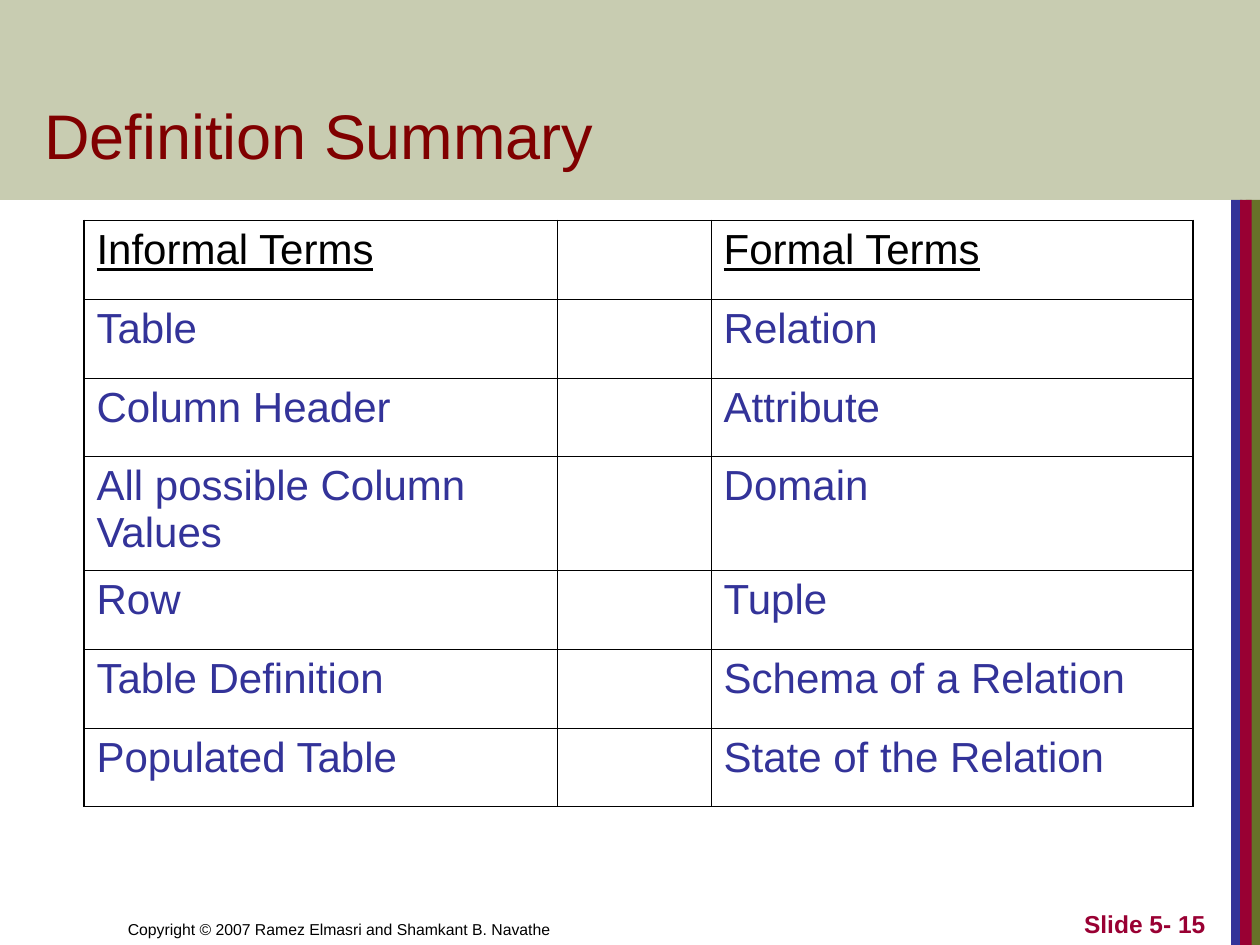
from dataclasses import dataclass, field

from lxml.etree import SubElement
from pptx import Presentation
from pptx.dml.color import RGBColor
from pptx.enum.shapes import MSO_SHAPE as Shape
from pptx.enum.text import MSO_ANCHOR as Anchor, PP_ALIGN as Align
from pptx.oxml.ns import qn
from pptx.util import Pt

COLORS = {
    "olive": "677228",
    "blue": "333399",
    "crimson": "990033",
    "maroon": "800000",
    "black": "000000",
}
TERMS = [
    ("Informal Terms", "Formal Terms"),
    ("Table", "Relation"),
    ("Column Header", "Attribute"),
    ("All possible Column Values", "Domain"),
    ("Row", "Tuple"),
    ("Table Definition", "Schema of a Relation"),
    ("Populated Table", "State of the Relation"),
]
COLUMN_WIDTHS = (270.5, 87.9, 275.4)
ROW_HEIGHTS = (45, 45, 45, 65, 45, 45, 45)
OUTER_LINE, INNER_LINE = 1.08, 0.45


@dataclass
class SlideBuilder:
    """Hold the text style and the current slide, and add elements to it."""

    slide: object
    style: dict = field(default_factory=lambda: {"name": "Arial"})

    def place(self, shape, bounds):
        for name, value in zip(("left", "top", "width", "height"), bounds):
            setattr(shape, name, Pt(value))

    def fill_text(self, frame, text, color, size, align=Align.LEFT, **formats):
        frame.word_wrap = True
        para = frame.paragraphs[0]
        para.alignment = align
        span = para.add_run()
        span.text = text
        for name, value in {**self.style, "size": Pt(size), **formats}.items():
            setattr(span.font, name, value)
        span.font.color.rgb = RGBColor.from_string(COLORS[color])

    def bar(self, bounds, color, alpha=None):
        bar = self.slide.shapes.add_shape(Shape.RECTANGLE, *map(Pt, bounds))
        bar.shadow.inherit = False
        bar.fill.solid()
        bar.fill.fore_color.rgb = RGBColor.from_string(COLORS[color])
        bar.line.fill.background()
        if alpha:
            tint = bar._element.spPr.find(".//" + qn("a:srgbClr"))
            SubElement(tint, qn("a:alpha"), val=str(alpha * 1000))

    def title(self, text, bounds):
        title = self.slide.shapes.title
        self.slide.shapes._spTree.append(title._element)
        self.place(title, bounds)
        title.text_frame.vertical_anchor = Anchor.BOTTOM
        self.fill_text(title.text_frame, text, "maroon", 36)

    def text(self, text, bounds, color, size, **formats):
        box = self.slide.shapes.add_textbox(*map(Pt, bounds))
        box.text_frame.vertical_anchor = Anchor.BOTTOM
        self.fill_text(box.text_frame, text, color, size, **formats)

    def border(self, cell, outer_sides):
        properties = cell._tc.get_or_add_tcPr()
        for side in "LRTB":
            width = OUTER_LINE if side in outer_sides else INNER_LINE
            line = SubElement(properties, qn(f"a:ln{side}"), w=str(Pt(width)))
            fill = SubElement(line, qn("a:solidFill"))
            SubElement(fill, qn("a:srgbClr"), val=COLORS["black"])

    def term_table(self, left, top):
        last_row, last_column = len(TERMS) - 1, len(COLUMN_WIDTHS) - 1
        bounds = (left, top, sum(COLUMN_WIDTHS), sum(ROW_HEIGHTS))
        table = self.slide.shapes.add_table(
            last_row + 1, last_column + 1, *map(Pt, bounds)
        ).table
        table.first_row = table.horz_banding = False
        for column, width in zip(table.columns, COLUMN_WIDTHS):
            column.width = Pt(width)
        for row, height in zip(table.rows, ROW_HEIGHTS):
            row.height = Pt(height)
        for row, (informal, formal) in enumerate(TERMS):
            header = row == 0
            color = "black" if header else "blue"
            for column, text in enumerate((informal, "", formal)):
                cell = table.cell(row, column)
                edges = {
                    "L": column == 0,
                    "R": column == last_column,
                    "T": header,
                    "B": row == last_row,
                }
                self.border(cell, [side for side, outer in edges.items() if outer])
                cell.fill.background()
                if text:
                    self.fill_text(cell.text_frame, text, color, 24, underline=header)


def main():
    deck = Presentation()
    deck.slide_width, deck.slide_height = Pt(720), Pt(540)
    page = SlideBuilder(deck.slides.add_slide(deck.slide_layouts[5]))
    band = 114.3
    stripes = [(712, 8, "olive"), (703.5, 6.5, "blue"), (708.7, 6.5, "crimson")]
    for left, width, color in stripes:
        page.bar((left, band, width, 540 - band), color)
    page.bar((0, 0, 720, band), "olive", alpha=36)
    page.text("Copyright © 2007 Ramez Elmasri and Shamkant B. Navathe",
              (66, 504, 354, 36), "black", 9)
    page.text("Slide 5- 15", (546, 504, 150, 36), "crimson", 14,
              align=Align.RIGHT, bold=True)
    page.title("Definition Summary", (18, 24, 614, 78))
    page.term_table(48, 126)
    deck.save("out.pptx")


if __name__ == "__main__":
    main()
